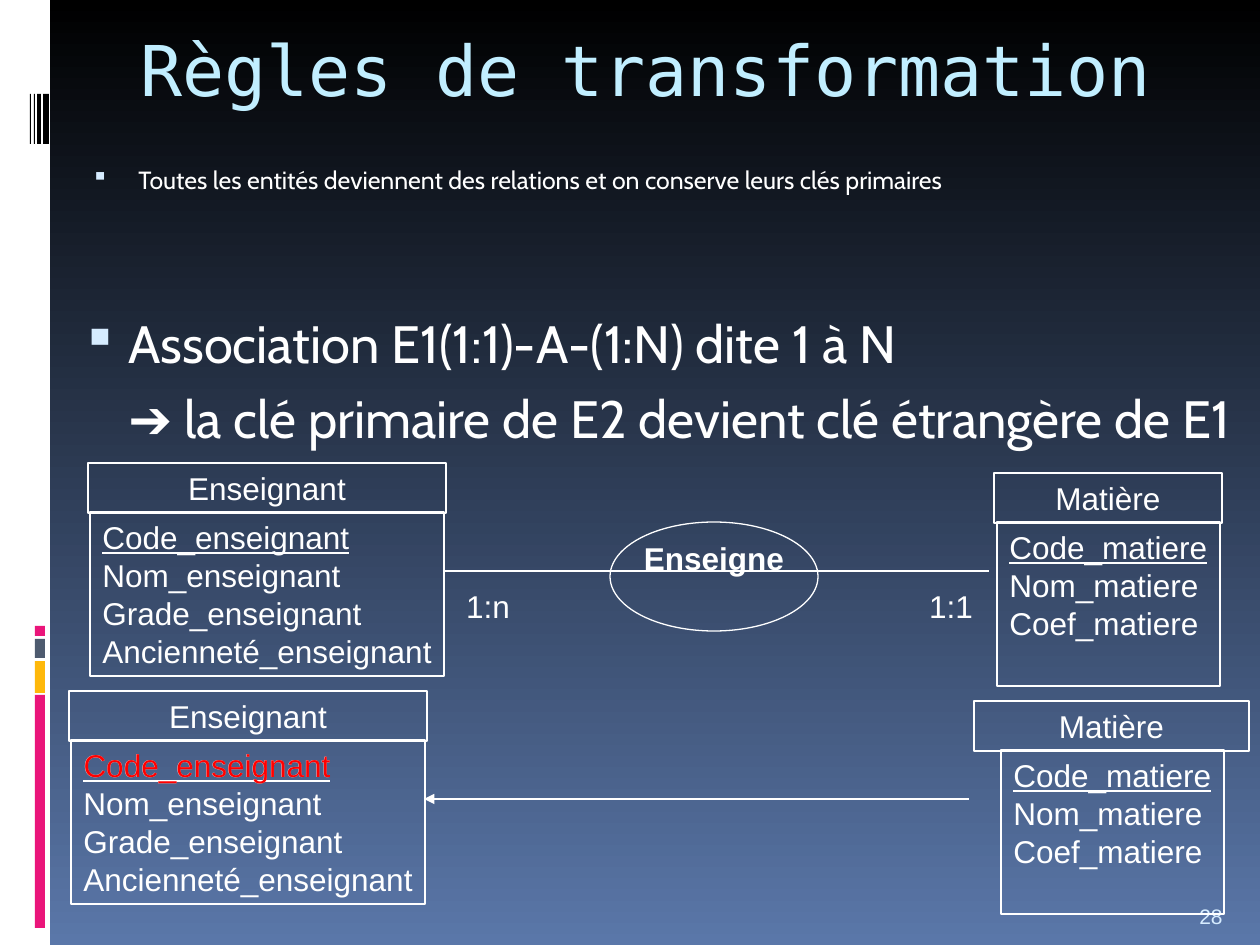
import pptx
import pptx.util
import pptx.dml.color
import pptx.enum.shapes
import pptx.enum.text
import pptx.oxml.ns
from lxml import etree

RGBColor = pptx.dml.color.RGBColor
Shape = pptx.enum.shapes.MSO_SHAPE
Align = pptx.enum.text.PP_ALIGN
Anchor = pptx.enum.text.MSO_ANCHOR
qn = pptx.oxml.ns.qn

BLACK = RGBColor(0x00, 0x00, 0x00)
WHITE = RGBColor(0xFF, 0xFF, 0xFF)
BLUE = RGBColor(0x5A, 0x77, 0xA9)
PALE = RGBColor(0xD6, 0xEC, 0xFF)
SKY = RGBColor(0xC1, 0xEE, 0xFF)
PINK = RGBColor(0xEA, 0x15, 0x7A)
YELLOW = RGBColor(0xFE, 0xB8, 0x0A)
SLATE = RGBColor(0x4E, 0x5B, 0x6F)
RED = RGBColor(0xFF, 0x00, 0x00)

PX_PER_INCH = 126
WIDTH, HEIGHT = 1260, 945
HEADER_HEIGHT, BODY_OFFSET, BODY_HEIGHT = 50, 49, 164
TEACHER = ("Enseignant", ["Code_enseignant", "Nom_enseignant",
                          "Grade_enseignant", "Ancienneté_enseignant"])
SUBJECT = ("Matière", ["Code_matiere", "Nom_matiere", "Coef_matiere"])


def px(length):
    return pptx.util.Emu(round(length * 914400 / PX_PER_INCH))


def set_font(para, size, color, name="Arial"):
    para.font.size = pptx.util.Pt(size)
    para.font.name = name
    para.font.color.rgb = color


def write(shape, lines, size, color, name="Arial", align=Align.LEFT,
          wrap=True, anchor=Anchor.TOP):
    frame = shape.text_frame
    frame.word_wrap = wrap
    frame.vertical_anchor = anchor
    frame.text = "\n".join(lines)
    for para in frame.paragraphs:
        para.alignment = align
        set_font(para, size, color, name)
    return frame


def add_text(page, box, *args, **options):
    return write(page.shapes.add_textbox(*map(px, box)), *args, **options)


def add_bar(page, box, color):
    bar = page.shapes.add_shape(Shape.RECTANGLE, *map(px, box))
    bar.shadow.inherit = False
    bar.fill.solid()
    bar.fill.fore_color.rgb = color
    bar.line.fill.background()


def add_outline(shapes, kind, box):
    outline = shapes.add_shape(kind, *map(px, box))
    outline.shadow.inherit = False
    outline.fill.background()
    outline.line.color.rgb = WHITE
    outline.line.width = pptx.util.Pt(0.75)
    return outline


def add_line(page, start, end, y, arrow=False):
    line = page.shapes.add_connector(
        pptx.enum.shapes.MSO_CONNECTOR.STRAIGHT, px(start), px(y), px(end), px(y))
    line.line.color.rgb = WHITE
    line.line.width = pptx.util.Pt(0.75)
    if arrow:
        etree.SubElement(line.line._get_or_add_ln(), qn("a:headEnd"), type="triangle")
    etree.SubElement(line._element.spPr, qn("a:effectLst"))


def indent(para, hanging):
    para.space_before = pptx.util.Pt(7)
    props = para._p.get_or_add_pPr()
    props.set("marL", str(px(57)))
    props.set("indent", str(-px(47) if hanging else 0))
    if hanging:
        color = etree.SubElement(props, qn("a:buClr"))
        etree.SubElement(color, qn("a:srgbClr"), val=str(PALE))
        etree.SubElement(props, qn("a:buSzPct"), val="95000")
        etree.SubElement(props, qn("a:buChar"), char="▪")
        props.append(props.find(qn("a:defRPr")))


def draw_background(page):
    fill = page.background.fill
    fill.gradient()
    fill.gradient_angle = 270
    for stop, position, color in zip(fill.gradient_stops, (0, 1), (BLACK, BLUE)):
        stop.position = position
        stop.color.rgb = color


def draw_side_strip(page, left, top):
    add_bar(page, (left, top, 50, HEIGHT), WHITE)
    for y, height, color in [(695, 233, PINK), (661, 32, YELLOW),
                             (639, 19, SLATE), (626, 10, PINK)]:
        add_bar(page, (left + 35, top + y, 10, height), color)
    for x, width in [(43, 6), (37, 4), (34, 1), (30, 1)]:
        add_bar(page, (left + x, top + 94, width, 50), BLACK)


def draw_rules(page, left, top):
    first = add_text(page, (left + 10, top, 1148, 79),
                     ["Toutes les entités deviennent des relations et on conserve "
                      "leurs clés primaires"], 14.2, WHITE, "Cabin")
    indent(first.paragraphs[0], True)
    second = add_text(page, (left, top + 147, 1201, 197),
                      ["Association E1(1:1)-A-(1:N) dite 1 à N", "➔"],
                      30, WHITE, "Cabin")
    heading, result = second.paragraphs
    indent(heading, True)
    indent(result, False)
    result.runs[0].font.name = "Arial"
    result.add_run().text = " la clé primaire de E2 devient clé étrangère de E1"


def draw_entity(page, entity, header, body, top):
    name, attributes = entity
    shapes = page.shapes.add_group_shape().shapes
    title = add_outline(shapes, Shape.RECTANGLE, (header[0], top, header[1], HEADER_HEIGHT))
    write(title, [name], 18, WHITE, align=Align.CENTER)
    content = add_outline(shapes, Shape.RECTANGLE,
                          (body[0], top + BODY_OFFSET, body[1], BODY_HEIGHT))
    frame = write(content, attributes, 18, WHITE, wrap=False)
    frame.paragraphs[0].runs[0].font.underline = True


def draw_association(page, left, top):
    add_line(page, left, left + 546, top + 49)
    ellipse = add_outline(page.shapes, Shape.OVAL, (left + 167, top, 208, 109))
    frame = write(ellipse, ["Enseigne"], 18, WHITE, align=Align.CENTER, wrap=False)
    frame.margin_top = px(1)
    frame.paragraphs[0].font.bold = True
    for x, cardinality in [(10, "1:n"), (473, "1:1")]:
        add_text(page, (left + x, top + 59, 70, 50), [cardinality], 18, WHITE,
                 align=Align.CENTER, wrap=False)


def draw_relations(page, left, top):
    add_line(page, left + 355, left + 900, top + 108, arrow=True)
    draw_entity(page, SUBJECT, (left + 905, 275), (left + 932, 223), top + 10)
    draw_entity(page, TEACHER, (left, 358), (left + 2, 354), top)
    add_text(page, (left + 2, top + BODY_OFFSET, 272, 50), [TEACHER[1][0]], 18, RED,
             align=Align.CENTER, wrap=False)


def draw_entities(page, left, top):
    draw_association(page, left + 355, top + 59)
    draw_entity(page, SUBJECT, (left + 906, 228), (left + 909, 223), top + 10)
    draw_entity(page, TEACHER, (left, 358), (left + 2, 354), top)


def main():
    deck = pptx.Presentation()
    deck.slide_width, deck.slide_height = px(WIDTH), px(HEIGHT)
    page = deck.slides.add_slide(deck.slide_layouts[6])
    draw_background(page)
    draw_side_strip(page, 0, 0)
    add_text(page, (128, 20, 1071, 126), ["Règles de transformation"],
             40, SKY, "DejaVu Sans Mono")
    add_text(page, (1187, 885, 63, 50), ["28"], 12, PALE, anchor=Anchor.BOTTOM)
    draw_relations(page, 69, 691)
    draw_rules(page, 59, 158)
    draw_entities(page, 88, 463)
    deck.save("out.pptx")


if __name__ == "__main__":
    main()
